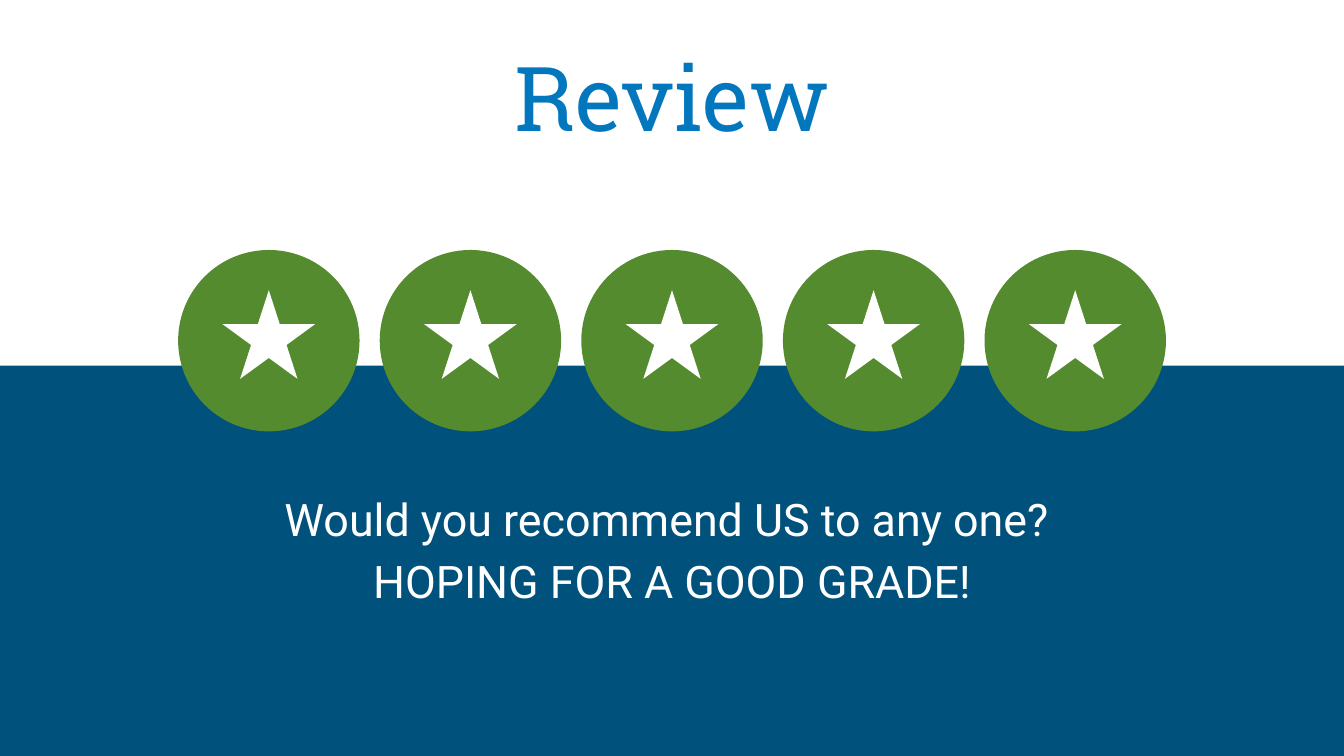
"""Build a review slide with a five-star rating and a closing question."""
import pptx
import pptx.dml.color
import pptx.enum.shapes
import pptx.enum.text
import pptx.util
from lxml import etree
from pptx.oxml.ns import qn

Inches = pptx.util.Inches
SHAPES = pptx.enum.shapes.MSO_SHAPE
ANCHORS = pptx.enum.text.MSO_ANCHOR
COLORS = {"navy": "00517C", "white": "FFFFFF", "blue": "0277BD", "green": "558B2F"}
SLIDE_WIDTH = 10
SLIDE_HEIGHT = SLIDE_WIDTH * 9 / 16
RATING = 5
BADGE_SIZE = 1.35
BADGE_STEP = 1.5
STAR_WIDTH = 0.69


def rgb(name):
    return pptx.dml.color.RGBColor.from_string(COLORS[name])


def add_solid(shapes, kind, box, color):
    solid = shapes.add_shape(kind, *map(Inches, box))
    solid.shadow.inherit = False
    solid.fill.solid()
    solid.fill.fore_color.rgb = rgb(color)
    solid.line.fill.background()
    return solid


def add_star_badge(slide, left):
    badge = slide.shapes.add_group_shape()
    add_solid(badge.shapes, SHAPES.OVAL, (left, 1.86, BADGE_SIZE, BADGE_SIZE), "green")
    star_left = left + (BADGE_SIZE - STAR_WIDTH) / 2
    add_solid(badge.shapes, SHAPES.STAR_5_POINT, (star_left, 2.16, STAR_WIDTH, 0.66), "white")


def write_placeholder(holder, box, anchor, lines, size, font, color):
    holder.left, holder.top, holder.width, holder.height = map(Inches, box)
    frame = holder.text_frame
    frame.word_wrap = True
    frame.auto_size = pptx.enum.text.MSO_AUTO_SIZE.NONE
    frame.vertical_anchor = anchor
    frame.margin_left = frame.margin_right = Inches(0.1)
    frame.margin_top = frame.margin_bottom = Inches(0.1)
    paragraph = frame.paragraphs[0]
    paragraph.alignment = pptx.enum.text.PP_ALIGN.CENTER
    paragraph.space_before = pptx.util.Pt(0)
    for index, line in enumerate(lines):
        if index:
            paragraph.add_line_break()
        run = paragraph.add_run()
        run.text = line
        run.font.size = pptx.util.Pt(size)
        run.font.name = font
        run.font.color.rgb = rgb(color)
    return paragraph


def remove_bullet(paragraph):
    properties = paragraph._p.get_or_add_pPr()
    properties.set("marL", "0")
    properties.set("indent", "0")
    etree.SubElement(properties, qn("a:buNone"))


def main():
    deck = pptx.Presentation()
    deck.slide_width, deck.slide_height = Inches(SLIDE_WIDTH), Inches(SLIDE_HEIGHT)
    slide = deck.slides.add_slide(deck.slide_layouts[1])
    slide.background.fill.solid()
    slide.background.fill.fore_color.rgb = rgb("navy")

    heading, question = slide.placeholders
    upper_panel = add_solid(slide.shapes, SHAPES.RECTANGLE, (0, 0, 10.02, 2.72), "white")
    heading.element.addprevious(upper_panel.element)
    write_placeholder(heading, (0.34, 0.41, 9.32, 0.8), ANCHORS.BOTTOM,
                      ["Review"], 48, "Roboto Slab", "blue")

    row_width = (RATING - 1) * BADGE_STEP + BADGE_SIZE
    row_left = (SLIDE_WIDTH - row_width) / 2
    for position in range(RATING):
        add_star_badge(slide, row_left + BADGE_STEP * position)

    appeal = write_placeholder(
        question, (0.34, 3.5, 9.32, 1.76), ANCHORS.TOP,
        ["Would you recommend US to any one? ", "HOPING FOR A GOOD GRADE!"],
        24, "Roboto", "white")
    appeal.line_spacing = 1.15
    appeal.space_after = pptx.util.Pt(16)
    remove_bullet(appeal)
    slide.shapes[-1].element.addnext(question.element)

    deck.save("out.pptx")


if __name__ == "__main__":
    main()
